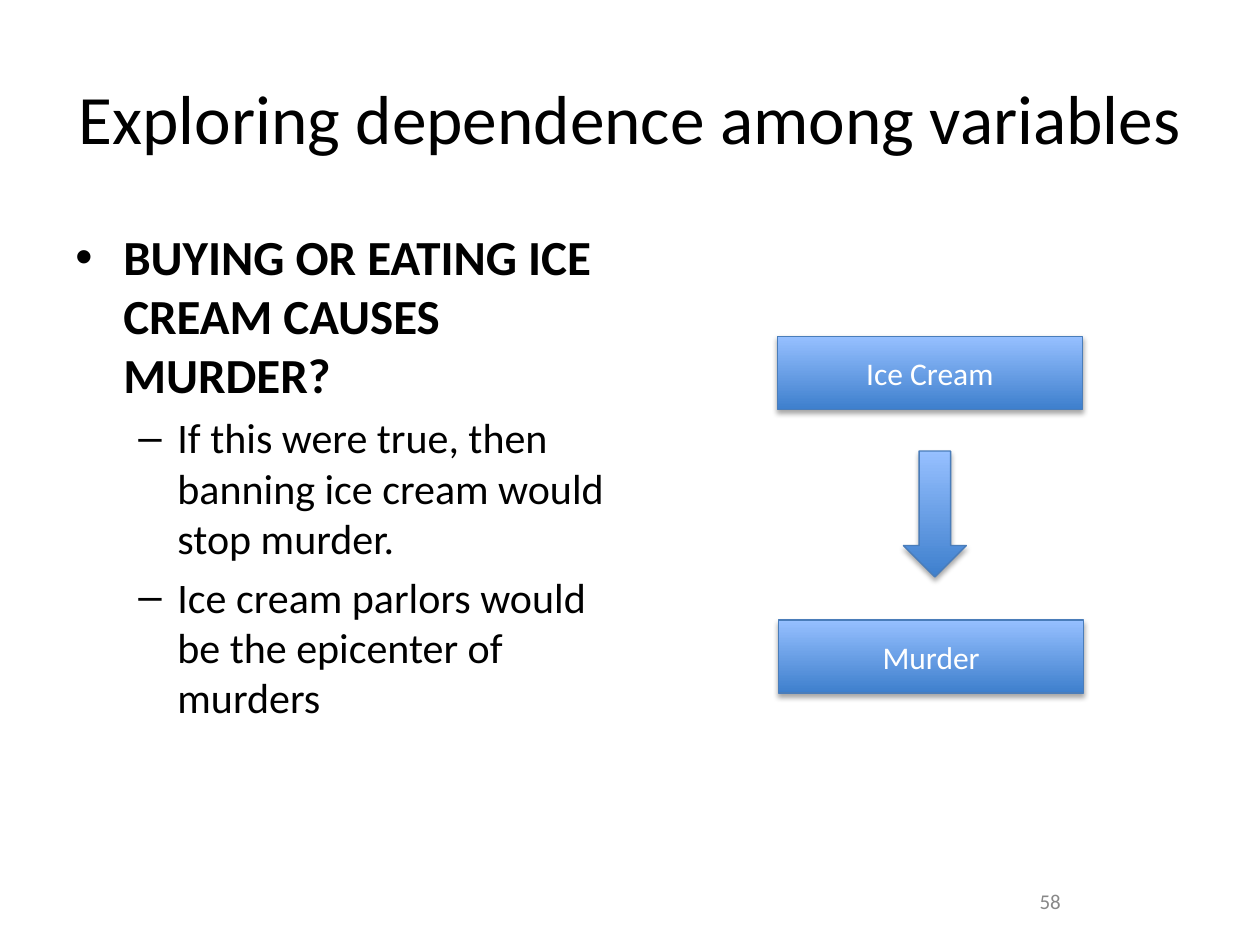
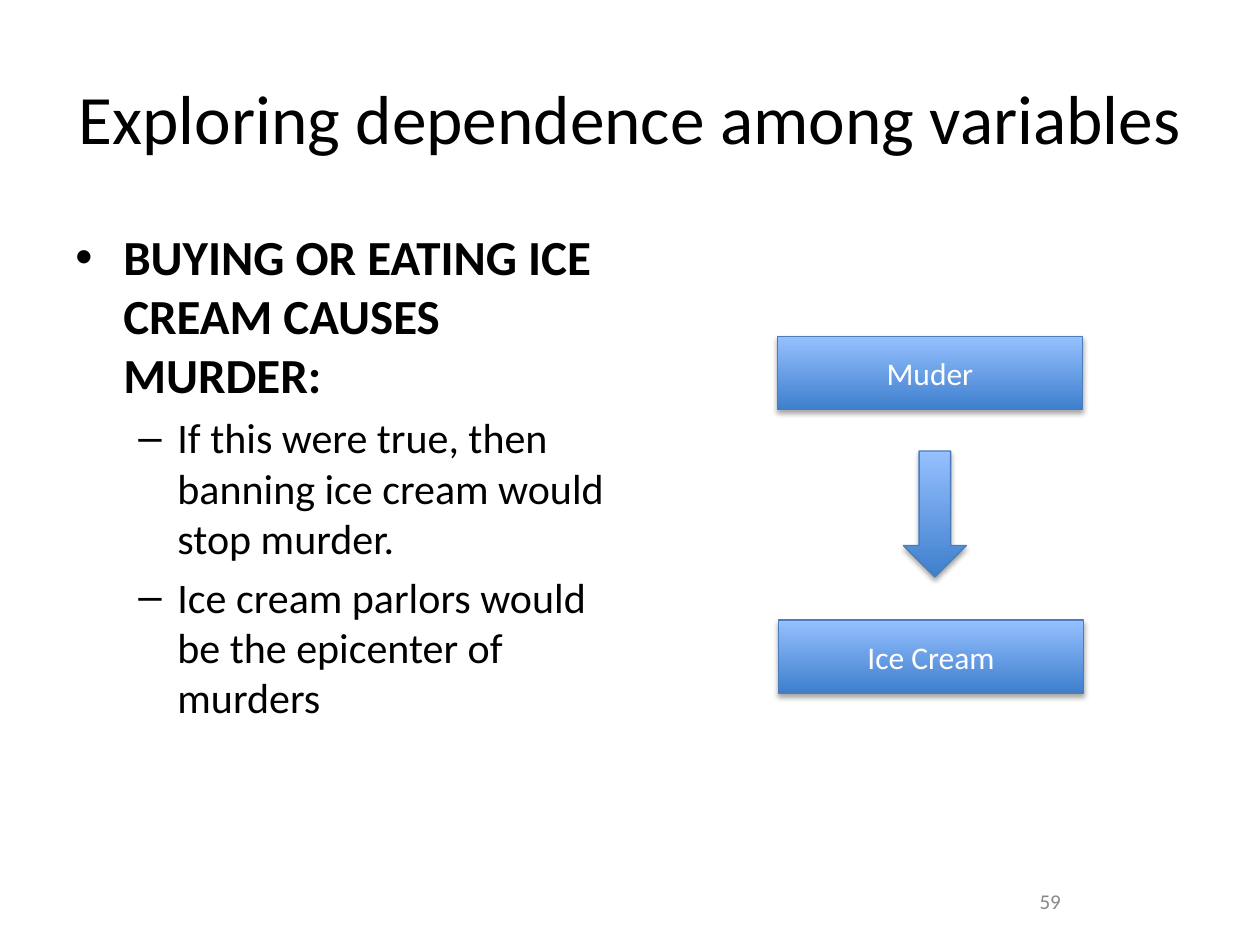
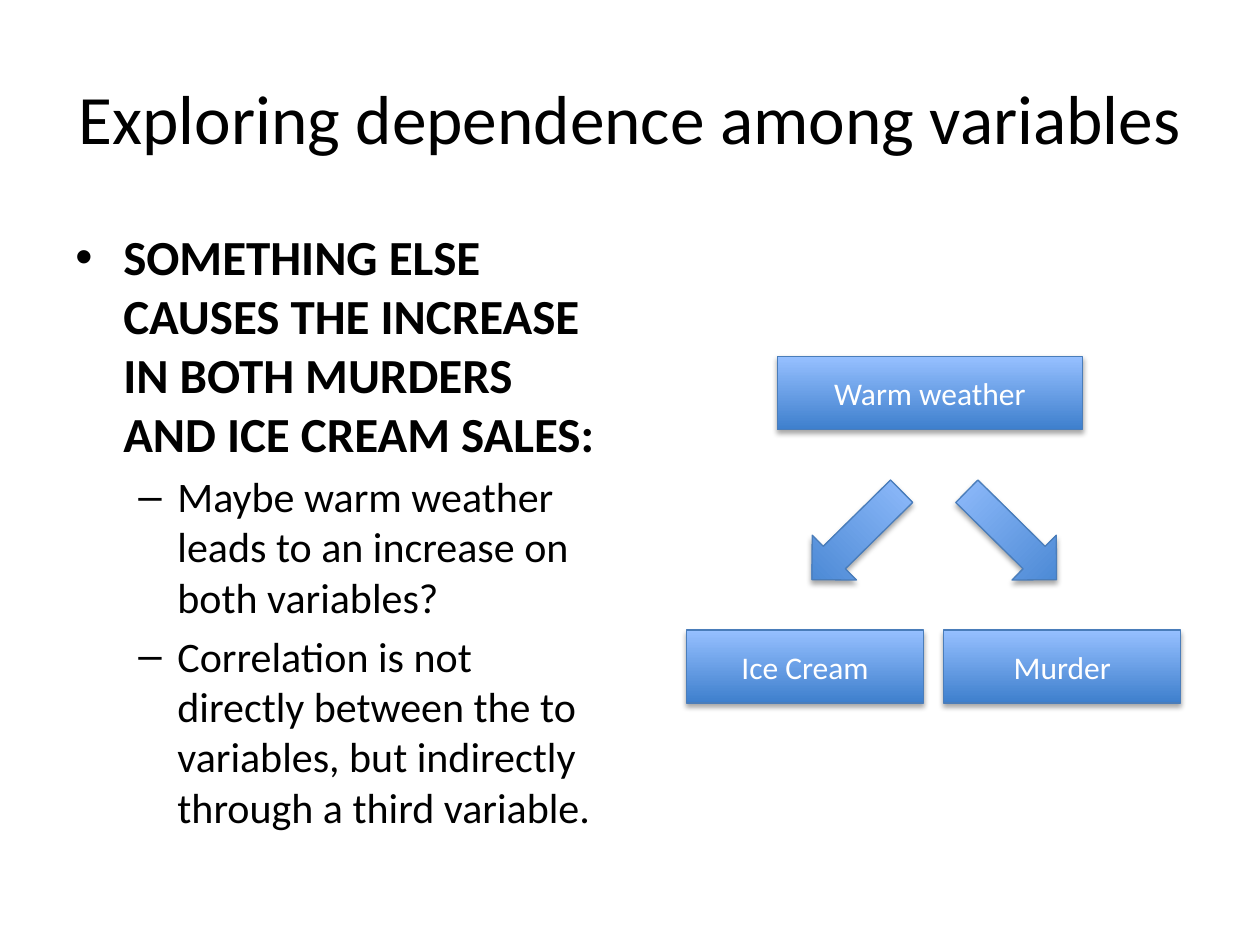
from lxml import etree
from pptx import Presentation
from pptx.dml.color import RGBColor
from pptx.enum import shapes, text
from pptx.oxml import ns
from pptx.util import Inches, Pt

# Content
TITLE = "Exploring dependence among variables"
ICE_CREAM_POINTS = [
    "If this were true, then banning ice cream would stop murder.",
    "Ice cream parlors would be the epicenter of murders",
]
THIRD_VARIABLE_POINTS = [
    "Maybe warm weather leads to an increase on both variables?",
    "Correlation is not directly between the to variables, "
    "but indirectly through a third variable.",
]
# claim, points, page number, cause, effects
SLIDES = [
    ("BUYING OR EATING ICE CREAM CAUSES MURDER?", ICE_CREAM_POINTS, "58",
     "Ice Cream", ["Murder"]),
    ("BUYING OR EATING ICE CREAM CAUSES MURDER:", ICE_CREAM_POINTS, "59",
     "Muder", ["Ice Cream"]),
    ("SOMETHING ELSE CAUSES THE INCREASE IN BOTH MURDERS AND ICE CREAM SALES:",
     THIRD_VARIABLE_POINTS, None, "Warm weather", ["Ice Cream", "Murder"]),
]

# Shared style
FONT = "Calibri"
BLACK, WHITE, GREY = "000000", "FFFFFF", "888888"
DARK_BLUE, LIGHT_BLUE, OUTLINE = "3E7FCD", "96C0FF", "4A7DBA"
BOX_H = 0.58
WIDE, NARROW = 2.42, 1.88
ARROW_W, ARROW_H = 0.5, 1
CAUSE_X = 6.17

# Diagram layout by number of effects:
# cause top, effect top, effect width, first effect left, effect step,
# arrow top, arrows as (left, rotation)
LAYOUTS = {
    1: (2.67, 4.92, WIDE, 6.18, 0, 3.58, [(7.17, 0)]),
    2: (2.83, 5, NARROW, 5.45, 2.04, 3.75, [(6.55, 45.4), (7.78, 314.6)]),
}


def rgb(hex_color):
    return RGBColor.from_string(hex_color)


def add_run(p, words, size, color=BLACK, bold=False):
    r = p.add_run()
    r.text = words
    r.font.name, r.font.size, r.font.bold = FONT, Pt(size), bold
    r.font.color.rgb = rgb(color)


def add_centred(sp, words, size, color):
    tf = sp.text_frame
    tf.word_wrap = True
    tf.vertical_anchor = text.MSO_ANCHOR.MIDDLE
    p = tf.paragraphs[0]
    p.alignment = text.PP_ALIGN.CENTER
    add_run(p, words, size, color)


def add_textbox(s, left, top, width, height):
    return s.shapes.add_textbox(*map(Inches, (left, top, width, height)))


def sub(parent, tag, **attrs):
    return etree.SubElement(parent, ns.qn(tag), attrs)


def add_bullet(p, char, left, hanging):
    pPr = p._p.get_or_add_pPr()
    pPr.set("marL", str(Inches(left)))
    pPr.set("indent", str(-Inches(hanging)))
    sub(sub(pPr, "a:buClr"), "a:srgbClr", val=BLACK)
    sub(pPr, "a:buFont", typeface="Arial")
    sub(pPr, "a:buChar", char=char)


def add_body(s, claim, points):
    tf = add_textbox(s, 0.5, 1.75, 4.42, 4.95).text_frame
    tf.word_wrap = True
    p = tf.paragraphs[0]
    add_bullet(p, "•", 0.38, 0.38)
    add_run(p, claim, 28, bold=True)
    for point in points:
        p = tf.add_paragraph()
        p.level = 1
        p.space_before = Pt(4.8)
        add_bullet(p, "–", 0.81, 0.31)
        add_run(p, point, 24)


def add_blue_shape(s, kind, left, top, width, height):
    sp = s.shapes.add_shape(kind, *map(Inches, (left, top, width, height)))
    sp.fill.gradient()
    sp.fill.gradient_angle = 90
    for stop, position, color in zip(sp.fill.gradient_stops, (0, 1),
                                     (DARK_BLUE, LIGHT_BLUE)):
        stop.position = position
        stop.color.rgb = rgb(color)
    sp.line.color.rgb = rgb(OUTLINE)
    sp.line.width = Pt(0.75)
    # Soft shadow straight below
    sp.shadow.inherit = False
    effects = sp._element.spPr.find(ns.qn("a:effectLst"))
    shadow = sub(effects, "a:outerShdw", blurRad=str(Pt(3.1)),
                 dist=str(Pt(1.8)), dir="5400000", rotWithShape="0")
    sub(sub(shadow, "a:srgbClr", val=BLACK), "a:alpha", val="35000")
    return sp


def add_box(s, words, left, top, width):
    sp = add_blue_shape(s, shapes.MSO_SHAPE.RECTANGLE, left, top, width, BOX_H)
    add_centred(sp, words, 18, WHITE)


def add_diagram(s, cause, effects):
    (cause_y, effect_y, effect_w, effect_x, step,
     arrow_y, arrows) = LAYOUTS[len(effects)]
    add_box(s, cause, CAUSE_X, cause_y, WIDE)
    for i, effect in enumerate(effects):
        add_box(s, effect, effect_x + i * step, effect_y, effect_w)
    for left, rotation in arrows:
        sp = add_blue_shape(s, shapes.MSO_SHAPE.DOWN_ARROW,
                            left, arrow_y, ARROW_W, ARROW_H)
        sp.rotation = rotation


def main():
    prs = Presentation()
    prs.slide_width, prs.slide_height = Inches(10), Inches(7.5)
    for claim, points, number, cause, effects in SLIDES:
        s = prs.slides.add_slide(prs.slide_layouts[6])
        add_centred(add_textbox(s, 0.5, 0.3, 9, 1.25), TITLE, 39.6, BLACK)
        add_body(s, claim, points)
        if number:
            add_centred(add_textbox(s, 7.17, 6.95, 2.33, 0.4), number, 12, GREY)
        add_diagram(s, cause, effects)
    prs.save("out.pptx")


if __name__ == "__main__":
    main()
